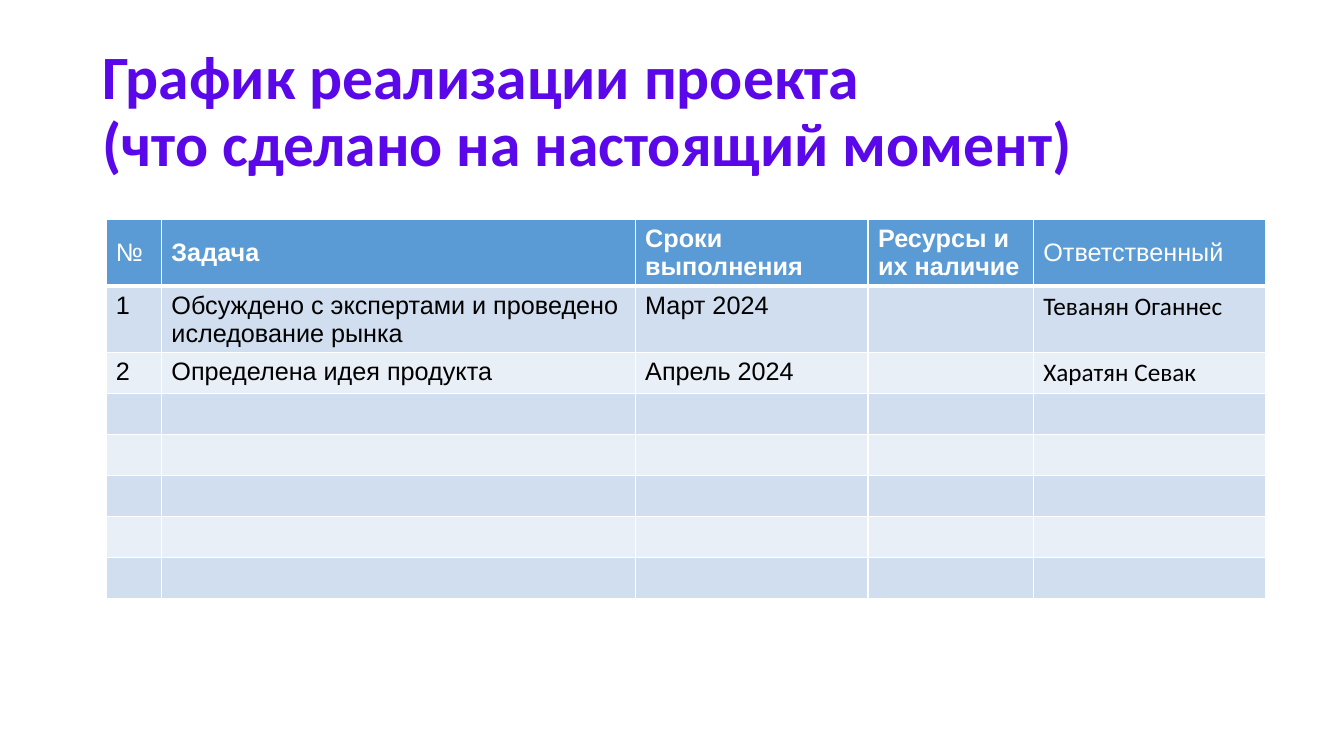
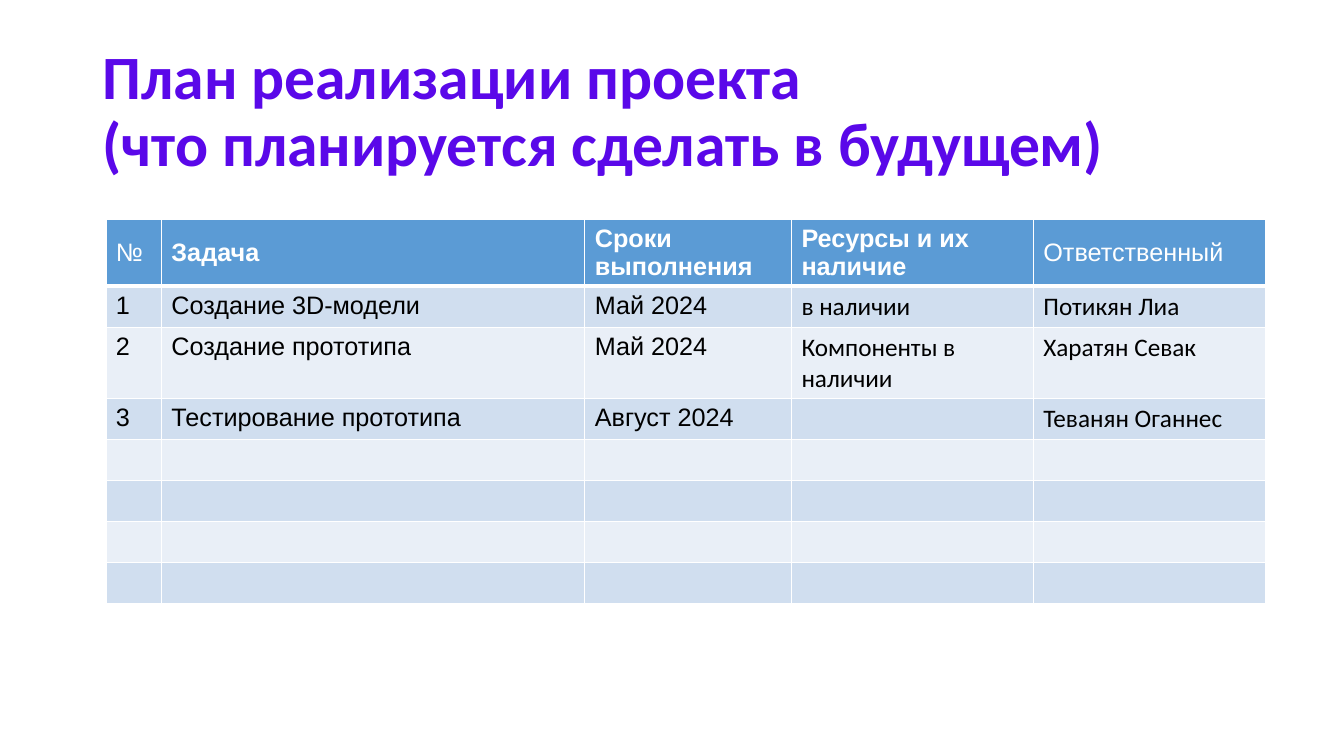
from lxml import etree
from pptx import Presentation, util as u
from pptx.dml.color import RGBColor
from pptx.enum import text
from pptx.oxml.ns import qn

COLORS = {
    "title": "5A08E9",
    "header": "5B9BD5",
    "odd": "D0DEEF",
    "even": "E9EFF7",
    "white": "FFFFFF",
    "black": "000000",
}
HEADERS = ["№", "Задача", "Сроки выполнения", "Ресурсы и их наличие", "Ответственный"]
BODY_ROWS = 7
HEADER_HEIGHT, ROW_HEIGHT = 8.67, 5.41


class Deck:
    """Holds the shared style and the current slide; lengths are percent of the slide."""

    def __init__(self):
        self.prs = Presentation()
        self.prs.slide_width, self.prs.slide_height = u.Inches(13.33), u.Inches(7.5)
        self.s = None

    def x(self, share):
        return round(self.prs.slide_width * share / 100)

    def y(self, share):
        return round(self.prs.slide_height * share / 100)

    def run(self, p, content, font, size, color, bold=False):
        r = p.add_run()
        r.text = content
        r.font.name, r.font.size, r.font.bold = font, u.Pt(size), bold
        r.font.color.rgb = RGBColor.from_string(COLORS[color])

    def slide(self, *title_lines):
        self.s = self.prs.slides.add_slide(self.prs.slide_layouts[5])
        sp = self.s.shapes.title
        sp.left, sp.top = self.x(6.88), self.y(5.32)
        sp.width, sp.height = self.x(86.25), self.y(19.33)
        tf = sp.text_frame
        tf.word_wrap = True
        tf.auto_size = text.MSO_AUTO_SIZE.NONE
        tf.vertical_anchor = text.MSO_ANCHOR.MIDDLE
        p = tf.paragraphs[0]
        p.alignment = text.PP_ALIGN.LEFT
        p.line_spacing = 0.9
        for i, line in enumerate(title_lines):
            if i:
                p.add_line_break()
            self.run(p, line, "Calibri", 44, "title", True)

    def borders(self, cell, top, bottom):
        tcPr = cell._tc.get_or_add_tcPr()
        for side, width in (("L", 1), ("R", 1), ("T", top), ("B", bottom)):
            ln = etree.SubElement(tcPr, qn(f"a:ln{side}"), w=str(u.Pt(width)))
            fill = etree.SubElement(ln, qn("a:solidFill"))
            etree.SubElement(fill, qn("a:srgbClr"), val=COLORS["white"])

    def cell(self, cell, row, col, content):
        header = row == 0
        self.borders(cell, 3 if row == 1 else 1, 3 if header else 1)
        fill = "header" if header else ("even", "odd")[row % 2]
        cell.fill.solid()
        cell.fill.fore_color.rgb = RGBColor.from_string(COLORS[fill])
        if header:
            cell.vertical_anchor = text.MSO_ANCHOR.MIDDLE
        if content:
            font = "Arial" if header or col < 3 else "Calibri"
            color = "white" if header else "black"
            bold = header and 0 < col < len(HEADERS) - 1
            self.run(cell.text_frame.paragraphs[0], content, font, 18, color, bold)

    def table(self, widths, tasks, tall_rows):
        heights = [HEADER_HEIGHT] + [tall_rows.get(i, ROW_HEIGHT) for i in range(1, BODY_ROWS + 1)]
        blank = [[""] * len(HEADERS)] * (BODY_ROWS - len(tasks))
        rows = [HEADERS] + [[str(n), *task] for n, task in enumerate(tasks, 1)] + blank
        frame = self.s.shapes.add_table(
            len(rows), len(HEADERS), self.x(7.88), self.y(29.07),
            self.x(sum(widths)), self.y(sum(heights)))
        tbl = frame.table
        tbl.first_row = tbl.horz_banding = False
        for column, width in zip(tbl.columns, widths):
            column.width = self.x(width)
        for i, (row, height) in enumerate(zip(rows, heights)):
            tbl.rows[i].height = self.y(height)
            for j, content in enumerate(row):
                self.cell(tbl.cell(i, j), i, j, content)


def main():
    deck = Deck()

    deck.slide("График реализации проекта", "(что сделано на настоящий момент)")
    deck.table([4.13, 35.25, 17.33, 12.3, 17.25], [
        ("Обсуждено с экспертами и проведено иследование рынка", "Март 2024", "", "Теванян Оганнес"),
        ("Определена идея продукта", "Апрель 2024", "", "Харатян Севак"),
    ], {1: 8.67})

    deck.slide("План реализации проекта", "(что планируется сделать в будущем)")
    deck.table([4.13, 31.5, 15.38, 18, 17.25], [
        ("Создание 3D-модели", "Май 2024", "в наличии", "Потикян Лиа"),
        ("Создание прототипa", "Май 2024", "Компоненты в наличии", "Харатян Севак"),
        ("Тестирование прототипа", "Август 2024", "", "Теванян Оганнес"),
    ], {2: 9.47})

    deck.prs.save("out.pptx")


if __name__ == "__main__":
    main()
